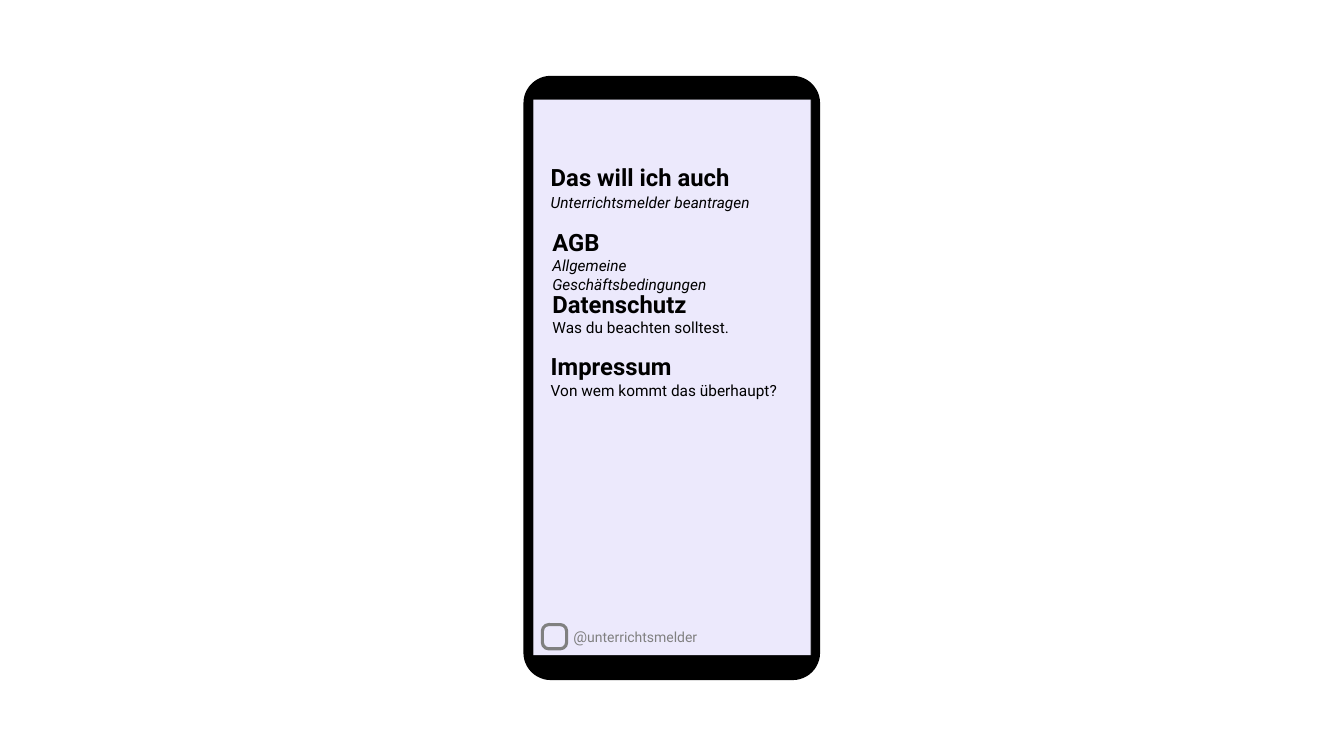
from dataclasses import dataclass
from typing import Optional

from pptx import Presentation
from pptx import util as u
from pptx.dml.color import RGBColor
from pptx.enum import shapes, text
from pptx.slide import Slide

BLACK = RGBColor(0x00, 0x00, 0x00)
BEZEL = RGBColor(0x26, 0x26, 0x26)
LAVENDER = RGBColor(0xEC, 0xE9, 0xFC)
GREY = RGBColor(0x80, 0x80, 0x80)
ROUNDED = shapes.MSO_SHAPE.ROUNDED_RECTANGLE
RECTANGLE = shapes.MSO_SHAPE.RECTANGLE


@dataclass(frozen=True)
class Area:
    left: float
    top: float
    width: float
    height: float

    def lengths(self) -> list[u.Length]:
        return [u.Cm(side) for side in (self.left, self.top, self.width, self.height)]


@dataclass(frozen=True)
class Panel:
    area: Area
    kind: shapes.MSO_SHAPE
    fill: Optional[RGBColor] = None
    outline: Optional[RGBColor] = None
    outline_width: float = 1
    rounding: Optional[float] = None


@dataclass(frozen=True)
class Run:
    words: str
    size: float = 11
    bold: bool = False
    italic: bool = False
    color: RGBColor = BLACK


@dataclass(frozen=True)
class Entry:
    area: Area
    lines: list[list[Run]]


def heading(words: str) -> list[Run]:
    return [Run(words, 17, bold=True)]


PANELS = [
    Panel(Area(13.21, 1.93, 7.44, 15.19), ROUNDED, BLACK, BLACK, rounding=0.09),
    Panel(Area(13.44, 2.51, 7.01, 14), RECTANGLE, BEZEL),
    Panel(Area(13.44, 2.51, 6.99, 14), RECTANGLE, LAVENDER),
    Panel(Area(13.67, 15.74, 0.61, 0.61), ROUNDED, None, GREY, 2.25, 0.26),
]

ENTRIES = [
    Entry(Area(13.63, 3.98, 6.6, 1.5), [
        heading("Das will ich auch"),
        [Run("Unterrichtsmelder", italic=True), Run(" ", 12, italic=True),
         Run("beantragen", italic=True)],
    ]),
    Entry(Area(13.67, 5.61, 6.3, 1.45), [
        heading("AGB"), [Run("Allgemeine Geschäftsbedingungen", italic=True)],
    ]),
    Entry(Area(13.67, 7.18, 6.58, 1.45), [
        heading("Datenschutz"), [Run("Was du beachten solltest.")],
    ]),
    Entry(Area(13.63, 8.75, 6.6, 1.45), [
        heading("Impressum"), [Run("Von wem kommt das überhaupt?")],
    ]),
    Entry(Area(14.2, 15.67, 5.79, 0.74), [
        [Run("@", color=GREY), Run("unterrichtsmelder", 10, color=GREY)],
    ]),
]


def draw_panel(slide: Slide, panel: Panel) -> None:
    body = slide.shapes.add_shape(panel.kind, *panel.area.lengths())
    body.shadow.inherit = False
    if panel.rounding is not None:
        body.adjustments[0] = panel.rounding
    if panel.fill is None:
        body.fill.background()
    else:
        body.fill.solid()
        body.fill.fore_color.rgb = panel.fill
    if panel.outline is None:
        body.line.fill.background()
    else:
        body.line.color.rgb = panel.outline
        body.line.width = u.Pt(panel.outline_width)


def draw_entry(slide: Slide, entry: Entry) -> None:
    frame = slide.shapes.add_textbox(*entry.area.lengths()).text_frame
    frame.word_wrap = True
    frame.auto_size = text.MSO_AUTO_SIZE.SHAPE_TO_FIT_TEXT
    for index, line in enumerate(entry.lines):
        paragraph = frame.add_paragraph() if index else frame.paragraphs[0]
        for part in line:
            run = paragraph.add_run()
            run.text = part.words
            run.font.name = "Roboto"
            run.font.size = u.Pt(part.size)
            run.font.bold = part.bold
            run.font.italic = part.italic
            run.font.color.rgb = part.color


def main() -> None:
    deck = Presentation()
    deck.slide_width = u.Cm(33.87)
    deck.slide_height = u.Cm(19.05)
    slide = deck.slides.add_slide(deck.slide_layouts[6])
    for panel in PANELS:
        draw_panel(slide, panel)
    for entry in ENTRIES:
        draw_entry(slide, entry)
    deck.save("out.pptx")


if __name__ == "__main__":
    main()
